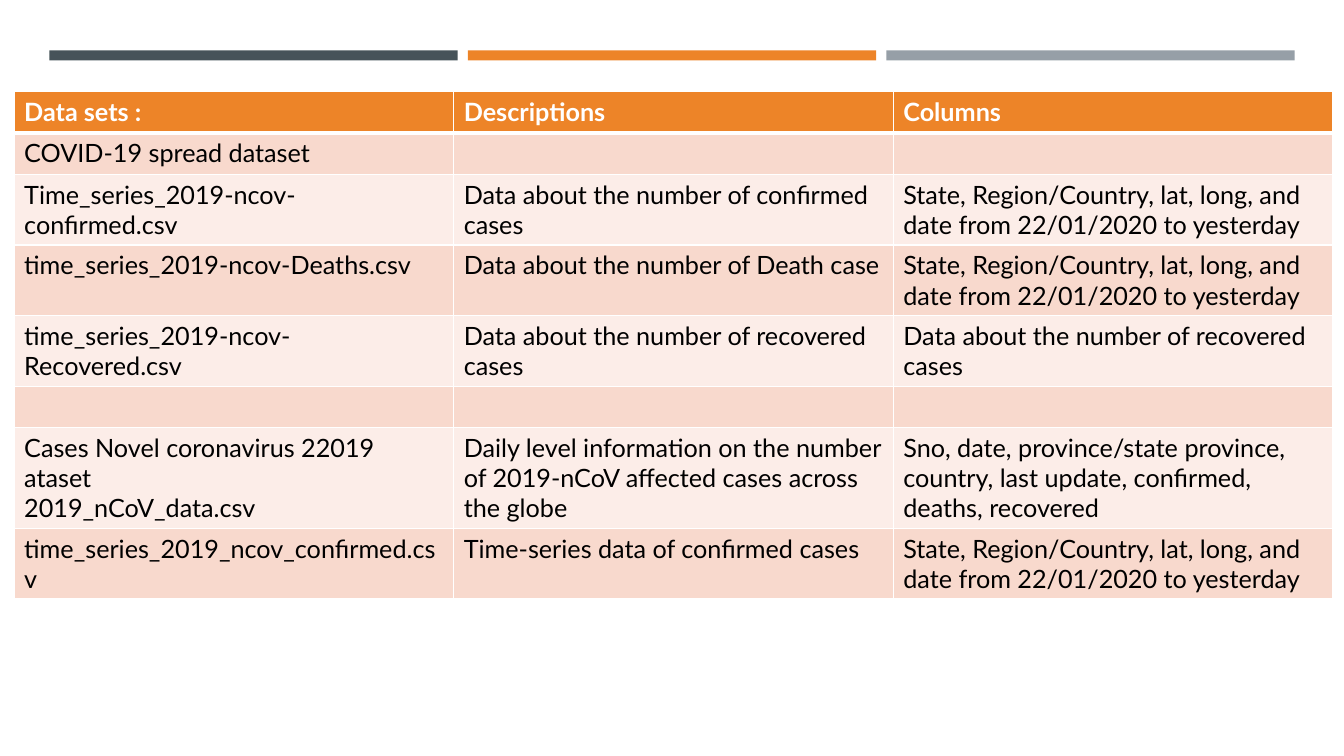
from lxml import etree
from pptx import Presentation
from pptx.dml.color import RGBColor
from pptx.enum.shapes import MSO_SHAPE
from pptx.oxml.ns import qn
from pptx.util import Inches, Pt

RECT = MSO_SHAPE.RECTANGLE
FONT = "Lato"
WHITE, BLACK, ORANGE = "FFFFFF", "000000", "ED8428"
BANDS = ["FCEDE8", "F8D9CD"]
BARS = ["465359", ORANGE, "969FA7"]
DATES = "State, Region/Country, lat, long, and date from 22/01/2020 to yesterday"
HEALED = "Data about the number of recovered cases"
ROWS = [
    ["Data sets :", "Descriptions", "Columns"],
    ["COVID-19 spread dataset", "", ""],
    ["Time_series_2019-ncov-confirmed.csv",
     "Data about the number of confirmed cases", DATES],
    ["time_series_2019‐ncov‐Deaths.csv",
     "Data about the number of Death case", DATES],
    ["time_series_2019‐ncov‐Recovered.csv", HEALED, HEALED],
    ["", "", ""],
    ["Cases Novel coronavirus 22019 ataset\n2019_nCoV_data.csv",
     "Daily level information on the number of 2019‐nCoV affected cases "
     "across the globe",
     "Sno, date, province/state province, country, last update, confirmed, "
     "deaths, recovered"],
    ["time_series_2019_ncov_confirmed.csv",
     "Time‐series data of confirmed cases", DATES],
]


def paint(fill, color):
    fill.solid()
    fill.fore_color.rgb = RGBColor.from_string(color)


def write(frame, text, size=18, color=BLACK, bold=False):
    frame.text = text
    for para in frame.paragraphs:
        for run in para.runs:
            font = run.font
            font.name, font.size, font.bold = FONT, Pt(size), bold
            font.color.rgb = RGBColor.from_string(color)


def add_bar(slide, left, color):
    bar = slide.shapes.add_shape(
        RECT, Inches(left), Inches(0.5), Inches(4.05), Inches(0.1))
    bar.shadow.inherit = False
    paint(bar.fill, color)
    bar.line.fill.background()


def edge(cell, widths):
    """Draw white cell borders; widths maps a side (L, R, T, B) to points."""
    props = cell._tc.get_or_add_tcPr()
    for spot, (side, width) in enumerate(widths.items()):
        line = etree.Element(qn(f"a:ln{side}"), w=str(Pt(width)))
        fill = etree.SubElement(line, qn("a:solidFill"))
        etree.SubElement(fill, qn("a:srgbClr"), val=WHITE)
        props.insert(spot, line)


def add_grid(slide, rows):
    table = slide.shapes.add_table(
        len(rows), len(rows[0]), Inches(0.14), Inches(0.91),
        Inches(13.07), Inches(0.41 * len(rows))).table
    for col in table.columns:
        col.width = Inches(4.36)
    for r, row in enumerate(rows):
        head = r == 0
        table.rows[r].height = Inches(0.41)
        for c, text in enumerate(row):
            cell = table.cell(r, c)
            paint(cell.fill, ORANGE if head else BANDS[r % 2])
            edge(cell, {"L": 1, "R": 1, "T": 3 if r == 1 else 1,
                        "B": 3 if head else 1})
            write(cell.text_frame, text, bold=head,
                  color=WHITE if head else BLACK)


def main():
    deck = Presentation()
    deck.slide_width, deck.slide_height = Inches(13.33), Inches(7.5)
    slide = deck.slides.add_slide(deck.slide_layouts[6])
    for i, color in enumerate(BARS):
        add_bar(slide, 0.49 + 4.15 * i, color)
    add_grid(slide, ROWS)
    deck.save("out.pptx")


if __name__ == "__main__":
    main()
